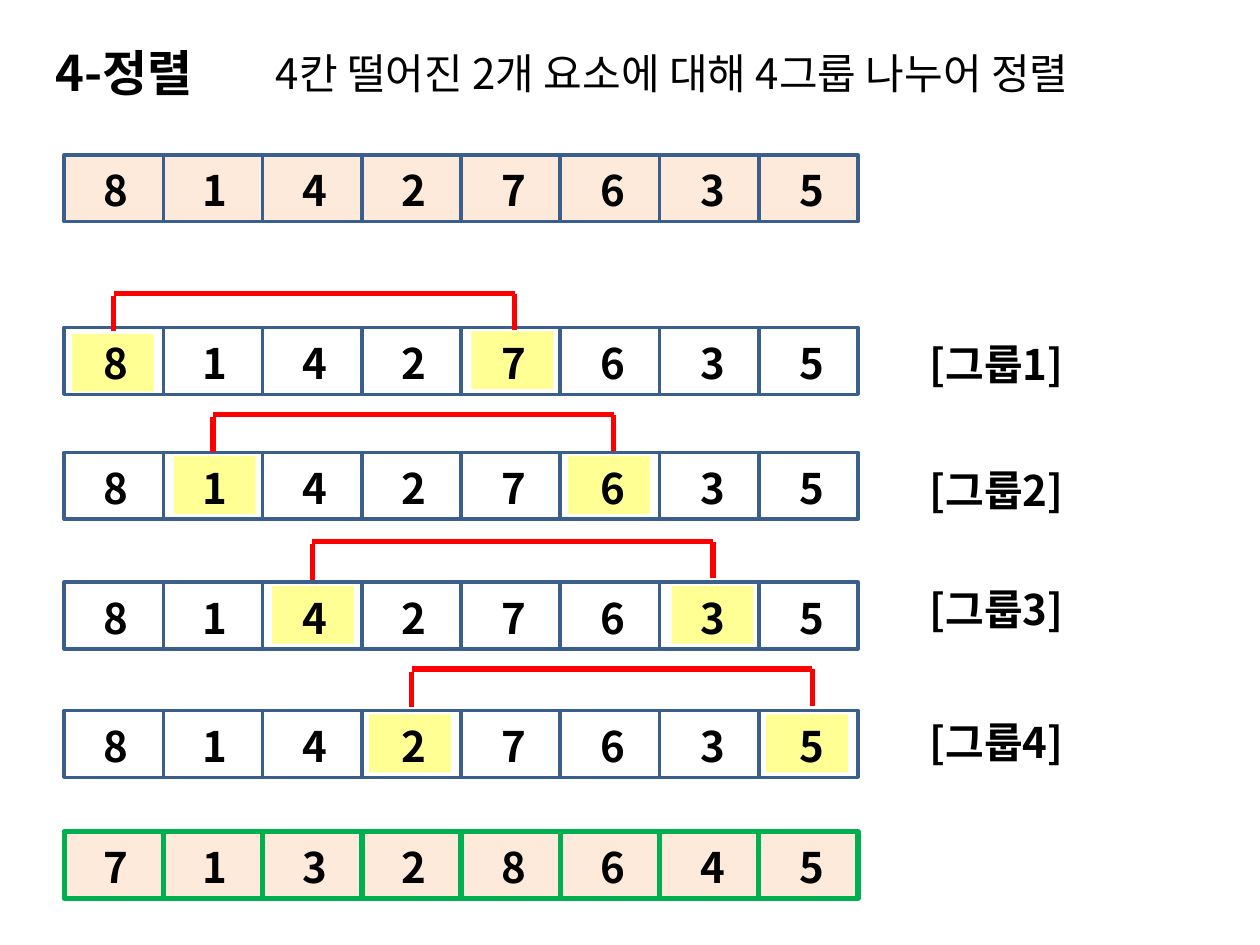
"""Build the 4-sort slide: an array, its four gap-4 groups and the result."""
from lxml.etree import SubElement
from pptx import Presentation
from pptx.dml.color import RGBColor as Rgb
from pptx.enum.shapes import MSO_CONNECTOR as Line, MSO_SHAPE as Shape
from pptx.enum.text import MSO_AUTO_SIZE as Fit
from pptx.oxml.ns import qn
from pptx.util import Inches, Pt


class Theme:
    font = "Noto Sans CJK KR"
    ink = Rgb.from_string("000000")
    peach = Rgb.from_string("FDEADA")
    navy = Rgb.from_string("3A5F8C")
    green = Rgb.from_string("00B050")
    red = Rgb.from_string("FF0000")
    yellow = Rgb.from_string("FFFF00")
    body, title = Pt(24), Pt(28)
    thin, thick = Pt(2), Pt(3)


def add_text(shapes, text, left, top, width, height=0.5, size=Theme.body, bold=True, wrap=False):
    box = shapes.add_textbox(Inches(left), Inches(top), Inches(width), Inches(height))
    box.text_frame.word_wrap = wrap
    box.text_frame.auto_size = Fit.SHAPE_TO_FIT_TEXT
    run = box.text_frame.paragraphs[0].add_run()
    run.text = text
    run.font.name, run.font.size, run.font.bold = Theme.font, size, bold
    run.font.color.rgb = Theme.ink
    SubElement(run.font._element, qn("a:ea"), typeface=Theme.font)


def add_rect(shapes, left, top, width, height, fill=None, edge=None, weight=Theme.thin):
    rect = shapes.add_shape(Shape.RECTANGLE, Inches(left), Inches(top), Inches(width), Inches(height))
    rect.shadow.inherit = False
    if fill is None:
        rect.fill.background()
    else:
        rect.fill.solid()
        rect.fill.fore_color.rgb = fill
    if edge is None:
        rect.line.fill.background()
    else:
        rect.line.color.rgb, rect.line.width = edge, weight
    return rect


deck = Presentation()
deck.slide_width, deck.slide_height = Inches(10), Inches(7.5)
slide = deck.slides.add_slide(deck.slide_layouts[6])

LEFT, CELL_W, CELL_H, GAP = 0.51, 0.7875, 0.53, 4
START, SORTED = "81427635", "71328645"
GROUP_TOPS = [2.6, 3.59, 4.62, 5.64]
BRACKET_TOPS = [2.33, 3.29, 4.3, 5.31]
LABEL_TOPS = [2.64, 3.64, 4.58, 5.64]
MARKS = [((0.57, 2.65), (3.74, 2.63)), ((1.38, 3.62), (4.51, 3.62)),
         ((2.16, 4.65), (5.33, 4.65)), ((2.93, 5.67), (6.08, 5.67))]

for pair in MARKS:
    for left, top in pair:
        mark = add_rect(slide.shapes, left, top, 0.65, 0.46, Theme.yellow)
        color = mark.fill._xPr.find(qn("a:solidFill"))[0]
        SubElement(color, qn("a:alpha"), val="42000")

arrays = [(START, 1.23, Theme.peach, Theme.navy, Theme.thin)]
arrays += [(START, top, None, Theme.navy, Theme.thin) for top in GROUP_TOPS]
arrays += [(SORTED, 6.6, Theme.peach, Theme.green, Theme.thick)]
for digits, top, fill, edge, weight in arrays:
    array = slide.shapes.add_group_shape().shapes
    for column in range(len(digits)):
        add_rect(array, LEFT + column * CELL_W, top, CELL_W, CELL_H, fill, edge, weight)
    for column, digit in enumerate(digits):
        add_text(array, digit, 0.72 + column * 0.79, top + 0.03, 0.4)

for column, (top, row_top) in enumerate(zip(BRACKET_TOPS, GROUP_TOPS)):
    bracket = slide.shapes.add_group_shape().shapes
    start = LEFT + (column + 0.5) * CELL_W
    end = start + GAP * CELL_W + 0.03
    for x1, y1, x2, y2 in [(start, top + 0.02, start, top + 0.3),
                           (start, top, end, top),
                           (end, top, end, top + 0.29)]:
        side = bracket.add_connector(Line.STRAIGHT, Inches(x1), Inches(y1), Inches(x2), Inches(y2))
        side.line.color.rgb, side.line.width = Theme.red, Theme.thick
        SubElement(side._element.spPr, qn("a:effectLst"))

add_text(slide.shapes, "4칸 떨어진 2개 요소에 대해 4그룹 나누어 정렬", 2.09, 0.33, 7.32, bold=False)
add_text(slide.shapes, "4-정렬", 0.34, 0.29, 1.38, 0.57, Theme.title)
for number, top in enumerate(LABEL_TOPS, 1):
    add_text(slide.shapes, f"[그룹{number}]", 7.28, top, 1.31, wrap=True)

deck.save("out.pptx")
